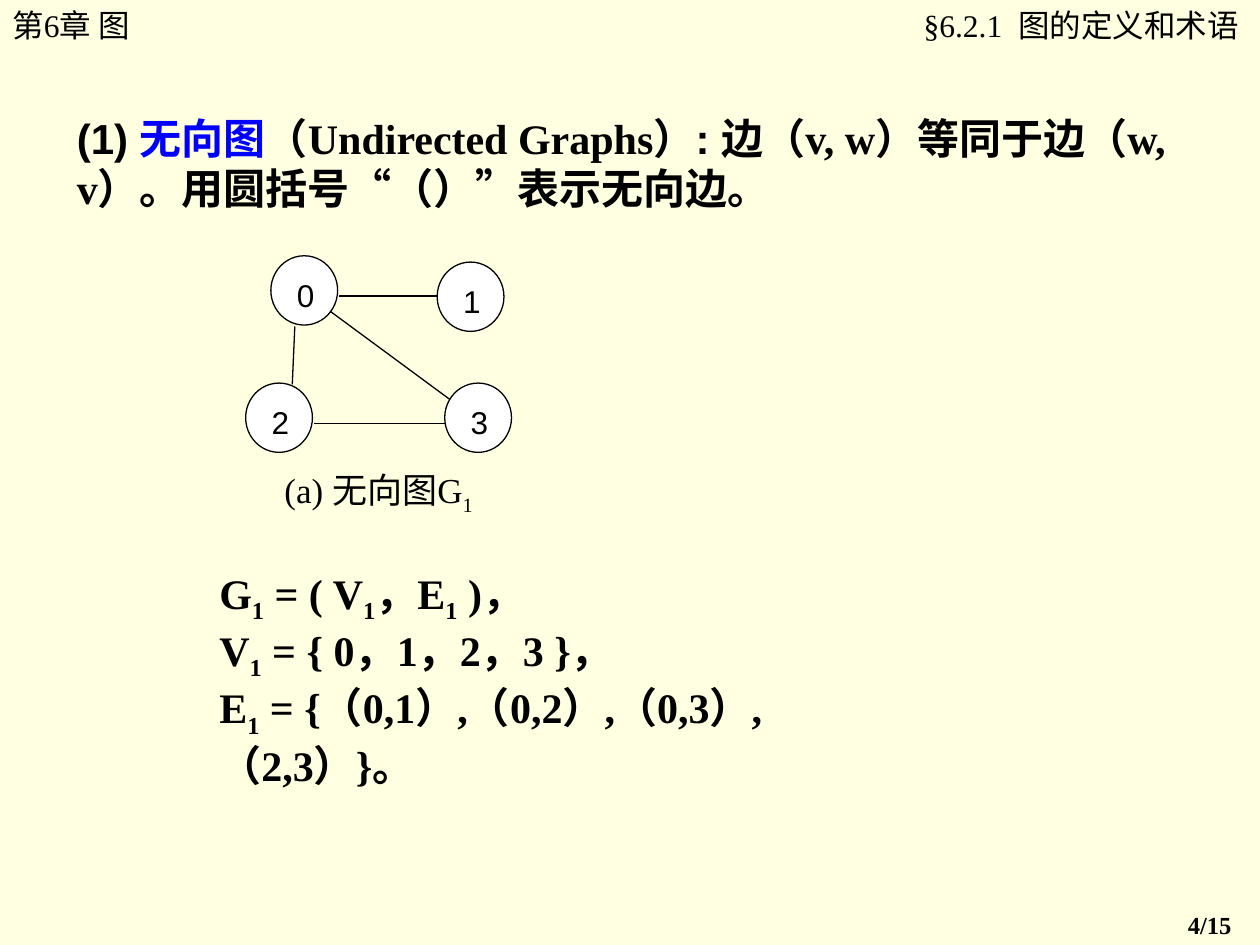
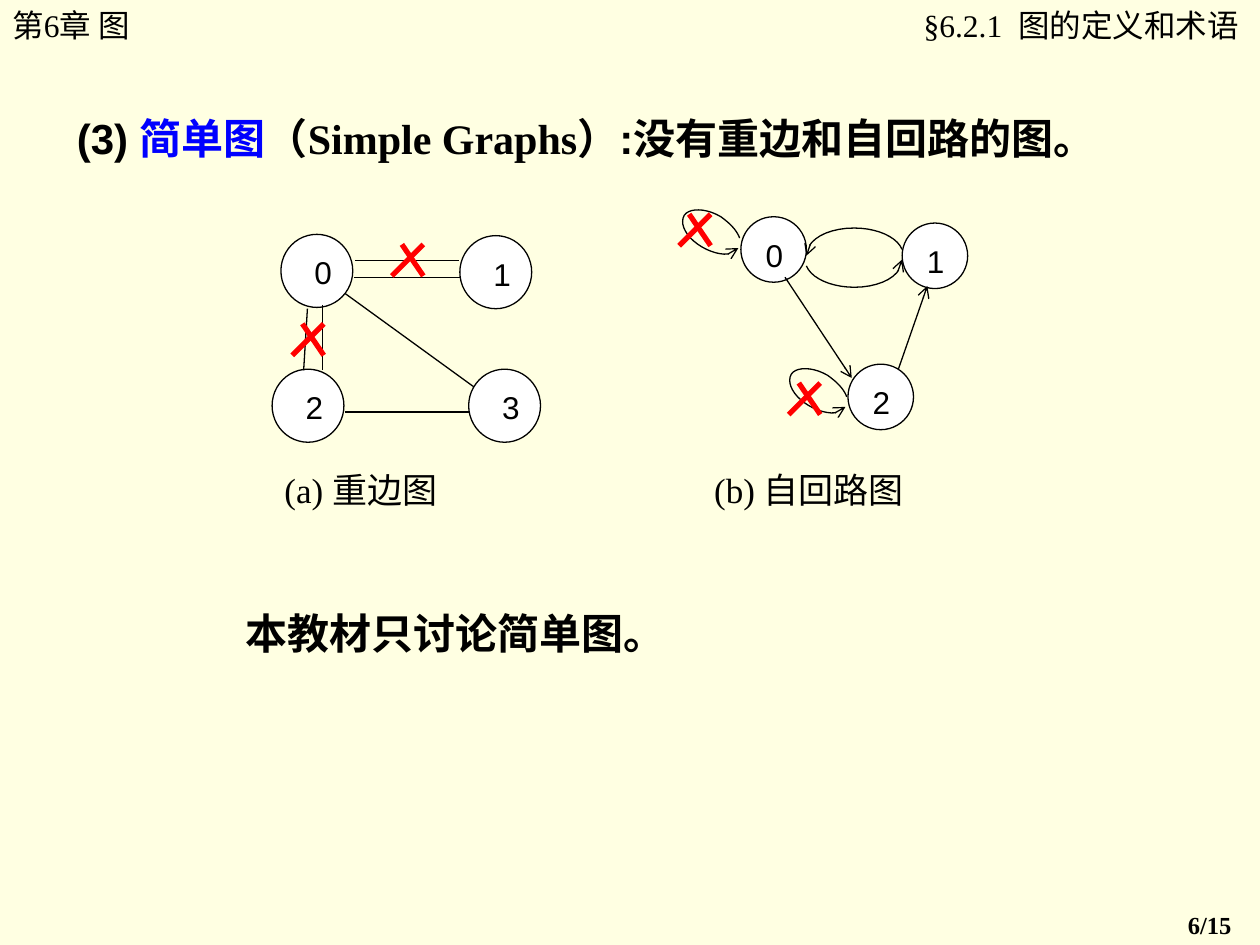
"""Build two slides on undirected and simple graphs."""
from lxml import etree
from pptx import Presentation, util as u
from pptx.dml.color import RGBColor
from pptx.enum import shapes as kinds, text as txt
from pptx.oxml.ns import qn

THEME = {
    "paper": "FFFFE2", "node": "FFFFFF", "ink": "000000", "strike": "FF0000",
    "thin": 0.75, "thick": 3,
    "styles": {
        "header": dict(name="Times New Roman", size=18, color="000000"),
        "page": dict(name="Times New Roman", size=14, bold=True, color="000000"),
        "caption": dict(name="Times New Roman", size=20, color="000000"),
        "label": dict(name="Arial", size=18, color="000000"),
        "strong": dict(name="Times New Roman", size=24, bold=True, color="000000"),
        "sans": dict(name="Arial", size=24, bold=True, color="000000"),
        "term": dict(name="Times New Roman", size=24, bold=True, color="0000FF"),
    },
}
LEFT, CENTER, RIGHT = (txt.PP_ALIGN.LEFT, txt.PP_ALIGN.CENTER, txt.PP_ALIGN.RIGHT)

CHAPTER, SECTION, PAGES = "第6章 图", "§6.2.1  图的定义和术语", 15

SELF_LOOP = [(0, 0), (-.02, -.06), (-.08, -.12), (-.15, -.17), (-.27, -.24), (-.4, -.24),
             (-.44, -.18), (-.48, -.11), (-.42, 0), (-.3, .07), (-.18, .14), (-.05, .15),
             (-.01, .08)]
ARC = [(0, 0), (.04, .1), (.2, .17), (.38, .17), (.59, .17), (.76, .08), (.76, -.05)]
BACK_ARC = [(-x, -y) for x, y in ARC]

SLIDES = [
    {
        "page": 4,
        "heading": [("(1) ", "sans"), ("无向图", "term"), ("（Undirected Graphs）", "strong"),
                    (": ", "sans"),
                    ("边（v, w）等同于边（w, v）。用圆括号“（）”表示无向边。", "strong")],
        "heading_box": (.51, .84, 9.33, .9),
        "body": [[("G_1 = ( V_1，E_1 )，", "strong")],
                 [("V_1 = { 0，1，2，3 }，", "strong")],
                 [("E_1 = {（0,1）,（0,2）,（0,3）,（2,3）}。", "strong")]],
        "body_box": (1.64, 4.45, 5.78, 1.87),
        "captions": [("(a) 无向图G_1", (2.16, 3.67, 2.84, .82))],
        "graphs": [{
            "node_size": (.53, .55), "label": (.17, .16, .21, .24), "directed": False,
            "nodes": [(2.15, 2.03), (3.47, 2.08), (1.95, 3.04), (3.53, 3.04)],
            "edges": [(2.62, 2.47, 3.57, 3.17), (2.34, 2.59, 2.32, 3.05),
                      (3.47, 2.35, 2.69, 2.35), (3.53, 3.36, 2.49, 3.36)],
            "curves": [],
        }],
        "crosses": [],
    },
    {
        "page": 6,
        "heading": [("(3) ", "sans"), ("简单图", "term"), ("（Simple Graphs）", "strong"),
                    (":没有重边和自回路的图", "sans"), ("。", "strong")],
        "heading_box": (.51, .84, 9.14, .5),
        "body": [[("本教材只讨论简单图", "sans"), ("。", "strong")]],
        "body_box": (1.85, 4.77, 3.7, .5),
        "captions": [("(a) 重边图", (2.16, 3.67, 2.84, .44)),
                     ("(b) 自回路图", (5.57, 3.67, 2.84, .44))],
        "graphs": [
            {
                "node_size": (.52, .52), "label": (.16, .15, .21, .22), "directed": True,
                "nodes": [(5.88, 1.72), (7.16, 1.77), (6.73, 2.89)],
                "edges": [(6.23, 2.2, 6.76, 3), (7.13, 2.93, 7.36, 2.27)],
                "curves": [((6.4, 2.11), ARC), ((7.16, 1.98), BACK_ARC),
                           ((6.72, 3.15), SELF_LOOP), ((5.87, 1.89), SELF_LOOP)],
            },
            {
                "node_size": (.57, .58), "label": (.22, .15, .23, .25), "directed": False,
                "nodes": [(2.23, 1.86), (3.65, 1.87), (2.16, 2.93), (3.72, 2.93)],
                "edges": [(2.56, 2.42, 2.56, 2.94), (2.82, 2.07, 3.64, 2.07),
                          (2.74, 2.33, 3.76, 3.07), (2.44, 2.45, 2.41, 2.94),
                          (3.66, 2.2, 2.81, 2.2), (3.72, 3.27, 2.74, 3.27)],
                "curves": [],
            },
        ],
        "crosses": [(3.11, 1.94), (2.32, 2.57), (5.39, 1.7), (6.26, 3.04)],
    },
]


def assign(target, values):
    """Set each named attribute of the target."""
    for name, value in values.items():
        setattr(target, name, value)


def inches(values):
    """Convert numbers to lengths."""
    return [u.Inches(value) for value in values]


def place(holder, box):
    """Move a placeholder to a box."""
    assign(holder, dict(zip(("left", "top", "width", "height"), inches(box))))


def add_run(paragraph, words, style, lowered=False):
    """Append a styled run, lowered if it is a subscript."""
    run = paragraph.add_run()
    run.text = words
    values = dict(THEME["styles"][style])
    run.font.color.rgb = RGBColor.from_string(values.pop("color"))
    assign(run.font, {**values, "size": u.Pt(values["size"])})
    if lowered:
        run._r.get_or_add_rPr().set("baseline", "-25000")


def write(frame, lines, align=LEFT, margins=(.1, .05, .1, .05)):
    """Fill a text frame; an underscore lowers the character after it."""
    sides = ("margin_left", "margin_top", "margin_right", "margin_bottom")
    assign(frame, {"word_wrap": True, "auto_size": txt.MSO_AUTO_SIZE.NONE,
                   "vertical_anchor": txt.MSO_ANCHOR.TOP, **dict(zip(sides, inches(margins)))})
    for index, line in enumerate(lines):
        paragraph = frame.add_paragraph() if index else frame.paragraphs[0]
        properties = paragraph._p.get_or_add_pPr()
        assign(paragraph, {"alignment": align, "space_before": u.Pt(0)})
        for name in ("marL", "indent"):
            properties.set(name, "0")
        etree.SubElement(properties, qn("a:buNone"))
        for words, style in line:
            first, *rest = words.split("_")
            add_run(paragraph, first, style)
            for piece in rest:
                add_run(paragraph, piece[0], style, lowered=True)
                if piece[1:]:
                    add_run(paragraph, piece[1:], style)


def add_text(slide, words, style, box, **layout):
    """Add a one-line text box."""
    write(slide.shapes.add_textbox(*inches(box)).text_frame, [[(words, style)]], **layout)


def fill_with(shape, color):
    """Give a shape a solid fill and no shadow."""
    shape.shadow.inherit = False
    shape.fill.solid()
    shape.fill.fore_color.rgb = RGBColor.from_string(THEME[color])


def draw_line(shape, color="ink", weight="thin", arrow=False):
    """Style an outline, with an arrowhead at its end if asked."""
    shape.line.color.rgb = RGBColor.from_string(THEME[color])
    shape.line.width = u.Pt(THEME[weight])
    if arrow:
        etree.SubElement(shape.line._get_or_add_ln(), qn("a:tailEnd"), type="arrow")


def add_edge(slide, ends, **look):
    """Connect two points with a straight line."""
    edge = slide.shapes.add_connector(kinds.MSO_CONNECTOR.STRAIGHT, *inches(ends))
    draw_line(edge, **look)
    etree.SubElement(edge._element.spPr, qn("a:effectLst"))


def bezier(points, steps=10):
    """Sample a chain of cubic curves."""
    for start in range(0, len(points) - 1, 3):
        a, b, c, d = points[start:start + 4]
        for step in range(1, steps + 1):
            t = step / steps
            s = 1 - t
            yield tuple(s**3 * p + 3 * s * s * t * q + 3 * s * t * t * r + t**3 * e
                        for p, q, r, e in zip(a, b, c, d))


def add_curve(slide, start, offsets, arrow):
    """Draw a curved edge from its start point."""
    x, y = start
    outline = slide.shapes.build_freeform(*inches(start))
    outline.add_line_segments([inches((x + dx, y + dy)) for dx, dy in bezier(offsets)],
                              close=False)
    curve = outline.convert_to_shape()
    curve.shadow.inherit = False
    curve.fill.background()
    draw_line(curve, arrow=arrow)


def add_graph(slide, graph):
    """Draw numbered nodes, straight edges and curved edges."""
    dx, dy, width, height = graph["label"]
    for number, (x, y) in enumerate(graph["nodes"]):
        node = slide.shapes.add_shape(kinds.MSO_SHAPE.OVAL, *inches((x, y, *graph["node_size"])))
        fill_with(node, "node")
        draw_line(node)
        label = slide.shapes.add_shape(kinds.MSO_SHAPE.RECTANGLE,
                                       *inches((x + dx, y + dy, width, height)))
        fill_with(label, "node")
        label.line.fill.background()
        write(label.text_frame, [[(str(number), "label")]], align=CENTER, margins=(0, 0, 0, 0))
    for ends in graph["edges"]:
        add_edge(slide, ends, arrow=graph["directed"])
    for start, offsets in graph["curves"]:
        add_curve(slide, start, offsets, graph["directed"])


def add_cross(slide, x, y, size=.25, inset=.08):
    """Strike out an edge with a cross."""
    for ends in ((x + inset, y, x + size, y + size), (x + size, y, x, y + size)):
        add_edge(slide, ends, color="strike", weight="thick")


def add_slide(deck, content):
    """Lay out one slide from its content."""
    slide = deck.slides.add_slide(deck.slide_layouts[1])
    heading, body = slide.placeholders
    place(heading, content["heading_box"])
    write(heading.text_frame, [content["heading"]])
    place(body, content["body_box"])
    write(body.text_frame, content["body"])
    add_text(slide, CHAPTER, "header", (0, 0, 1.74, .4))
    add_text(slide, SECTION, "header", (6.95, 0, 3.04, .4), align=RIGHT,
             margins=(.12, .05, .16, .05))
    for words, box in content["captions"]:
        add_text(slide, words, "caption", box)
    for graph in content["graphs"]:
        add_graph(slide, graph)
    for corner in content["crosses"]:
        add_cross(slide, *corner)
    add_text(slide, f"{content['page']}/{PAGES}", "page", (9.33, 7.17, .67, .34))


def main():
    """Build and save the deck."""
    deck = Presentation()
    assign(deck, {"slide_width": u.Inches(10), "slide_height": u.Inches(7.5)})
    paper = deck.slide_master.background.fill
    paper.solid()
    paper.fore_color.rgb = RGBColor.from_string(THEME["paper"])
    for content in SLIDES:
        add_slide(deck, content)
    deck.save("out.pptx")


if __name__ == "__main__":
    main()
